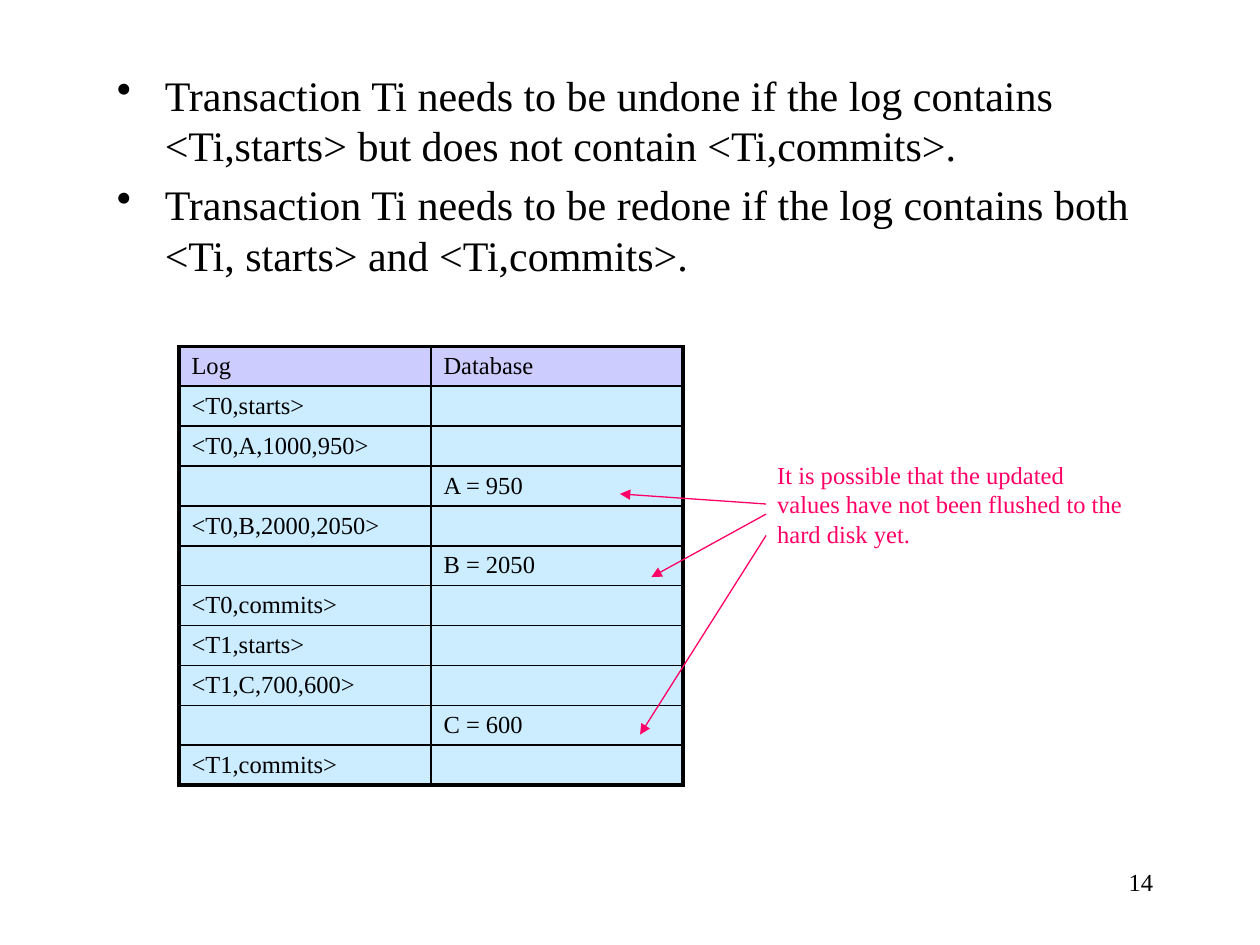
from lxml.etree import SubElement
from pptx import Presentation
from pptx.dml.color import RGBColor
from pptx.enum.shapes import MSO_CONNECTOR as Connector
from pptx.enum.text import MSO_ANCHOR as Anchor, MSO_AUTO_SIZE as AutoSize, PP_ALIGN as Align
from pptx.oxml.ns import qn
from pptx.util import Inches, Pt

BLACK = RGBColor(0x00, 0x00, 0x00)
PINK = RGBColor(0xFF, 0x00, 0x66)
HEADER_FILL = RGBColor(0xCC, 0xCC, 0xFF)
ROW_FILL = RGBColor(0xCC, 0xEC, 0xFF)
FONT = "Times New Roman"
SMALL, LARGE = 14, 24
LEADING = 1.2
OUTER, INNER = 2.25, 1

RULES = [
    "Transaction Ti needs to be undone if the log contains <Ti,starts> but does not contain <Ti,commits>.",
    "Transaction Ti needs to be redone if the log contains both <Ti, starts> and <Ti,commits>.",
]
LOG = [
    ("Log", "Database"),
    ("<T0,starts>", ""),
    ("<T0,A,1000,950>", ""),
    ("", "A = 950"),
    ("<T0,B,2000,2050>", ""),
    ("", "B = 2050"),
    ("<T0,commits>", ""),
    ("<T1,starts>", ""),
    ("<T1,C,700,600>", ""),
    ("", "C = 600"),
    ("<T1,commits>", ""),
]
FLUSH_NOTE = [
    "It is possible that the updated",
    "values have not been flushed to the",
    "hard disk yet.",
]
FLUSH_ARROWS = [
    ((6.08, 4), (4.92, 3.92)),
    ((6.08, 4.08), (5.17, 4.58)),
    ((6.08, 4.25), (5.08, 5.83)),
]


def set_all(target, values):
    for name, value in values.items():
        setattr(target, name, value)


def style_font(font, size, color):
    set_all(font, {"name": FONT, "size": Pt(size)})
    font.color.rgb = color


def add_bullet(paragraph):
    properties = paragraph._p.get_or_add_pPr()
    properties.set("marL", str(Inches(0.38)))
    properties.set("indent", str(Inches(-0.38)))
    SubElement(properties, qn("a:buChar"), char="•")


def add_text(slide, place, lines, size, color=BLACK, align=Align.LEFT,
             wrap=True, bulleted=False, gap=0):
    frame = slide.shapes.add_textbox(*map(Inches, place)).text_frame
    set_all(frame, {
        "word_wrap": wrap,
        "auto_size": AutoSize.NONE if wrap else AutoSize.SHAPE_TO_FIT_TEXT,
    })
    for index, line in enumerate(lines):
        paragraph = frame.add_paragraph() if index else frame.paragraphs[0]
        if bulleted:
            add_bullet(paragraph)
        set_all(paragraph, {
            "alignment": align,
            "line_spacing": Pt(size * LEADING),
            "space_before": Pt(gap if index else 0),
        })
        run = paragraph.add_run()
        run.text = line
        style_font(run.font, size, color)


def add_border(cell, edge, width):
    line = SubElement(cell._tc.get_or_add_tcPr(), qn(f"a:{edge}"), w=str(Pt(width)))
    fill = SubElement(line, qn("a:solidFill"))
    SubElement(fill, qn("a:srgbClr"), val=str(BLACK))


def fill_cell(cell, text, fill, edges):
    set_all(cell, {
        "margin_top": Inches(0.04),
        "margin_bottom": Inches(0.04),
        "vertical_anchor": Anchor.MIDDLE,
    })
    for edge, is_outer in edges.items():
        add_border(cell, edge, OUTER if is_outer else INNER)
    cell.fill.solid()
    cell.fill.fore_color.rgb = fill
    paragraph = cell.text_frame.paragraphs[0]
    if text:
        run = paragraph.add_run()
        run.text = text
        style_font(run.font, SMALL, BLACK)
    else:
        paragraph._p.get_or_add_endParaRPr().set("sz", str(SMALL * 100))


def add_log_table(slide, place, rows):
    last_row, last_column = len(rows) - 1, len(rows[0]) - 1
    table = slide.shapes.add_table(len(rows), len(rows[0]), *map(Inches, place)).table
    set_all(table, {"first_row": False, "horz_banding": False})
    for r, row in enumerate(rows):
        for c, text in enumerate(row):
            edges = {"lnL": c == 0, "lnR": c == last_column,
                     "lnT": r == 0, "lnB": r == last_row}
            fill_cell(table.cell(r, c), text, ROW_FILL if r else HEADER_FILL, edges)


def add_arrow(slide, start, end):
    arrow = slide.shapes.add_connector(Connector.STRAIGHT, *map(Inches, start + end))
    arrow.line.width = Pt(0.75)
    arrow.line.color.rgb = PINK
    SubElement(arrow.line._get_or_add_ln(), qn("a:tailEnd"), type="triangle")
    SubElement(arrow._element.spPr, qn("a:effectLst"))


def main():
    deck = Presentation()
    set_all(deck, {"slide_width": Inches(10), "slide_height": Inches(7.5)})
    slide = deck.slides.add_slide(deck.slide_layouts[6])
    add_text(slide, (7.17, 6.83, 2.08, 0.5), ["14"], SMALL, align=Align.RIGHT)
    add_text(slide, (0.83, 0.5, 8.5, 1.83), RULES, LARGE, bulleted=True, gap=5)
    add_log_table(slide, (1.42, 2.75, 4, 3.47), LOG)
    add_text(slide, (6.07, 3.6, 2.94, 0.8), FLUSH_NOTE, SMALL, PINK, wrap=False)
    for start, end in FLUSH_ARROWS:
        add_arrow(slide, start, end)
    deck.save("out.pptx")


if __name__ == "__main__":
    main()
